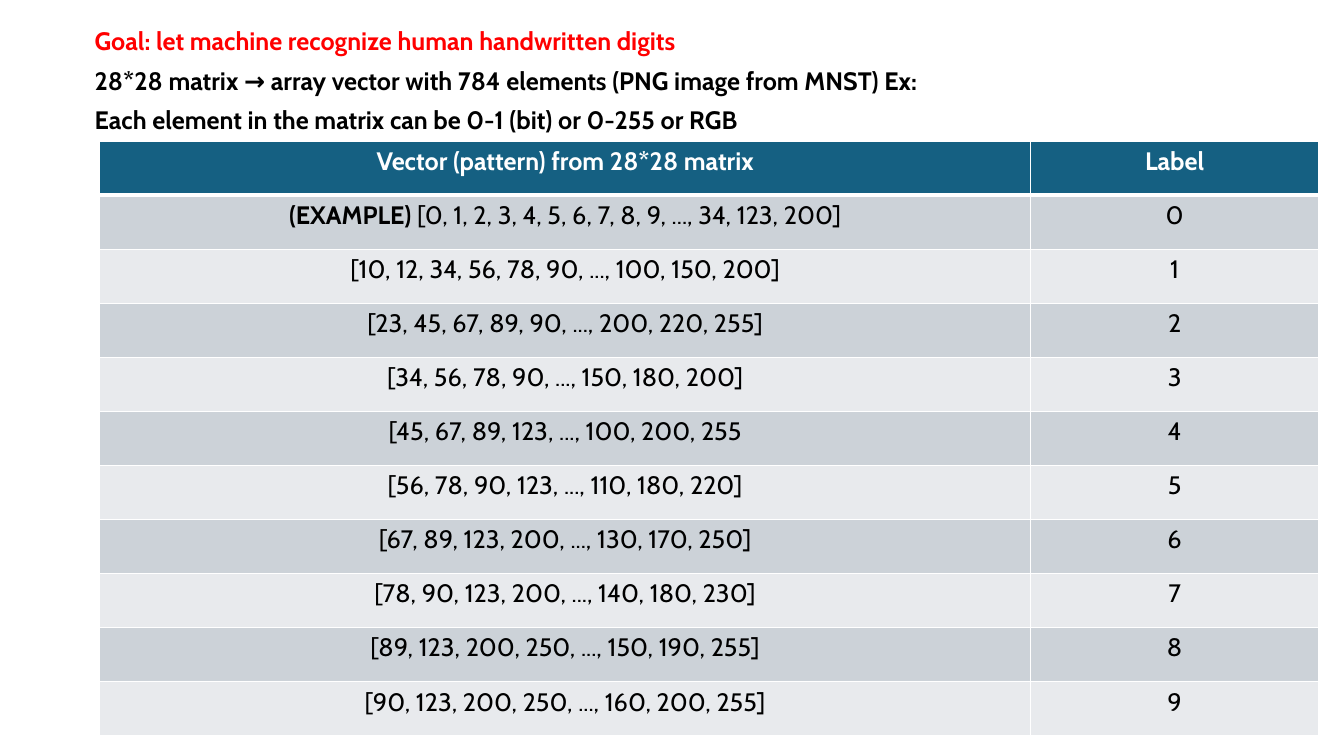
from lxml import etree
from pptx import Presentation
from pptx.dml.color import RGBColor
from pptx.enum.text import PP_ALIGN
from pptx.oxml.ns import qn
from pptx.util import Inches, Pt

CENTER = PP_ALIGN.CENTER
LEFT_MARGIN, TOP_MARGIN, LINE_STEP = 0.84, 0.2, 0.395
ROW_HEIGHT = 5.9 / 11
COLUMN_WIDTHS = (9.23, 2.86)
HEADER_FILL, BAND_FILLS = "156082", ("CCD2D8", "E8EAED")

INTRO = [
    ("Goal: let machine recognize human handwritten digits", "FF0000"),
    ("28*28 matrix → array vector with 784 elements (PNG image from MNST) Ex:", "000000"),
    ("Each element in the matrix can be 0-1 (bit) or 0-255 or RGB", "000000"),
]
VECTORS = [
    "[0, 1, 2, 3, 4, 5, 6, 7, 8, 9, ..., 34, 123, 200]",
    "[10, 12, 34, 56, 78, 90, ..., 100, 150, 200]",
    "[23, 45, 67, 89, 90, ..., 200, 220, 255]",
    "[34, 56, 78, 90, ..., 150, 180, 200]",
    "[45, 67, 89, 123, ..., 100, 200, 255",
    "[56, 78, 90, 123, ..., 110, 180, 220]",
    "[67, 89, 123, 200, ..., 130, 170, 250]",
    "[78, 90, 123, 200, ..., 140, 180, 230]",
    "[89, 123, 200, 250, ..., 150, 190, 255]",
    "[90, 123, 200, 250, ..., 160, 200, 255]",
]


def set_font(paragraph, color, bold):
    font = paragraph.font
    font.name, font.size, font.bold = "Cabin", Pt(18), bold
    font.color.rgb = RGBColor.from_string(color)


def add_border(cell, side, points):
    """Draw a white line on one side (L, R, T or B) of a cell, before its fill is set."""
    line = etree.SubElement(cell._tc.get_or_add_tcPr(), qn(f"a:ln{side}"), w=str(Pt(points)))
    etree.SubElement(etree.SubElement(line, qn("a:solidFill")), qn("a:srgbClr"), val="FFFFFF")


prs = Presentation()
prs.slide_width, prs.slide_height = Inches(13.33), Inches(7.5)
slide = prs.slides.add_slide(prs.slide_layouts[6])

rows = [("Vector (pattern) from 28*28 matrix", "Label")]
rows += [(vector, str(digit)) for digit, vector in enumerate(VECTORS)]
samples = slide.shapes.add_table(
    len(rows), len(COLUMN_WIDTHS), Inches(0.99), Inches(1.4),
    Inches(sum(COLUMN_WIDTHS)), Inches(ROW_HEIGHT * len(rows))).table
for column, width in zip(samples.columns, COLUMN_WIDTHS):
    column.width = Inches(width)

for r, texts in enumerate(rows):
    is_header = r == 0
    samples.rows[r].height = Inches(ROW_HEIGHT)
    for c, text in enumerate(texts):
        cell = samples.cell(r, c)
        for side in "LRTB":
            under_header = (r, side) in ((0, "B"), (1, "T"))
            add_border(cell, side, 3 if under_header else 1)
        cell.fill.solid()
        cell.fill.fore_color.rgb = RGBColor.from_string(
            HEADER_FILL if is_header else BAND_FILLS[(r - 1) % 2])
        paragraph = cell.text_frame.paragraphs[0]
        paragraph.alignment = CENTER
        set_font(paragraph, "FFFFFF" if is_header else "000000", is_header)
        if (r, c) == (1, 0):
            example_tag = paragraph.add_run()
            example_tag.text = "(EXAMPLE) "
            example_tag.font.bold = True
        paragraph.add_run().text = text

for i, (sentence, color) in enumerate(INTRO):
    intro_line = slide.shapes.add_textbox(
        Inches(LEFT_MARGIN), Inches(TOP_MARGIN + i * LINE_STEP), Inches(9.92), Inches(0.4))
    intro_line.text_frame.word_wrap = True
    paragraph = intro_line.text_frame.paragraphs[0]
    paragraph.text = sentence
    set_font(paragraph, color, True)

prs.save("out.pptx")
